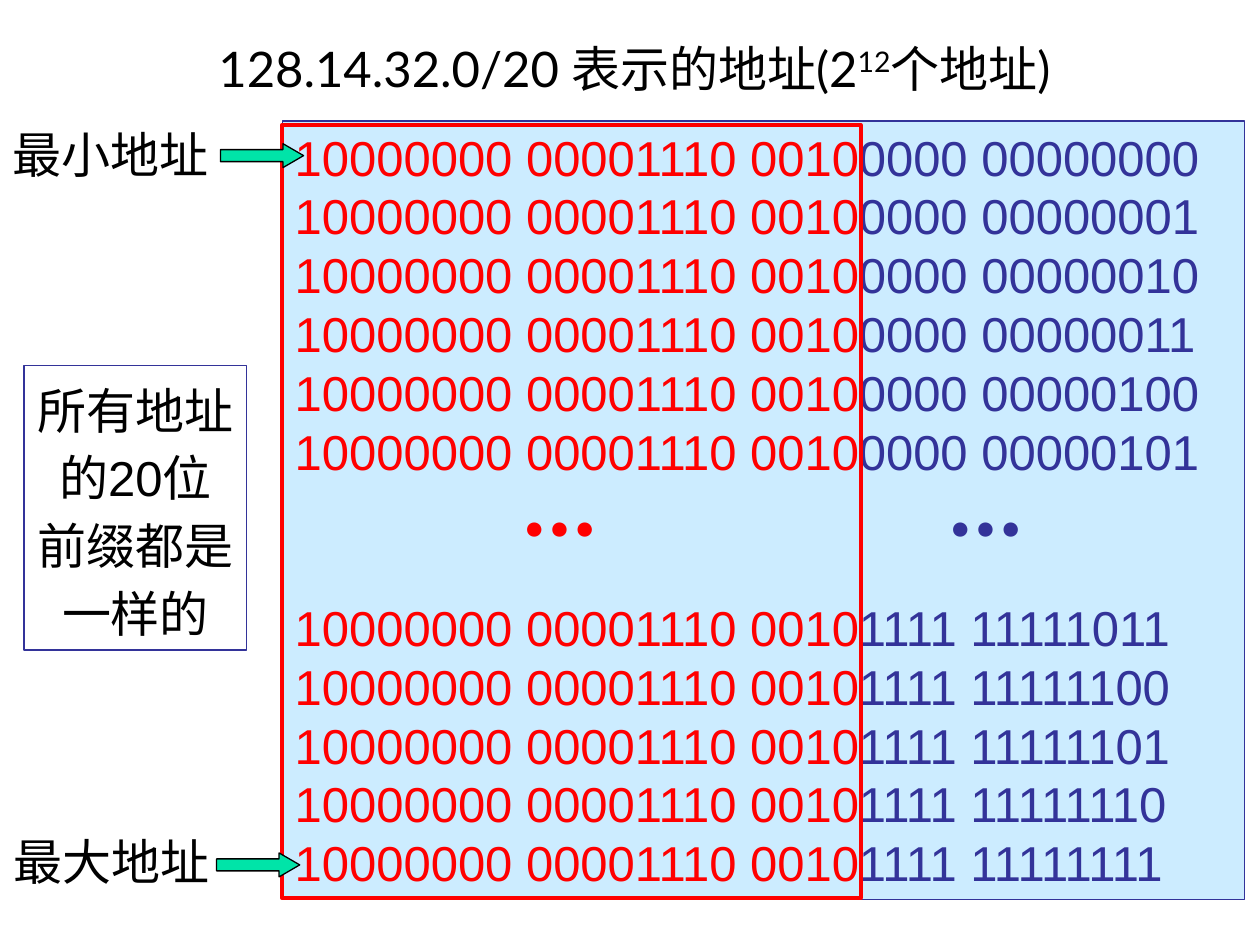
"""Build a slide listing the addresses in the CIDR block 128.14.32.0/20."""
import pptx
import pptx.dml.color
import pptx.enum.shapes
import pptx.enum.text
import pptx.util

Pt = pptx.util.Pt
SHAPE = pptx.enum.shapes.MSO_SHAPE
ALIGN = pptx.enum.text.PP_ALIGN
ANCHOR = pptx.enum.text.MSO_ANCHOR
AUTO_SIZE = pptx.enum.text.MSO_AUTO_SIZE
COLORS = {
    "text": "000000", "prefix": "FF0000", "host": "333399",
    "panel": "CCECFF", "arrow": "00E4A8",
}


def add_run(paragraph, text, color, **formats):
    run = paragraph.add_run()
    run.text = text
    run.font.color.rgb = pptx.dml.color.RGBColor.from_string(COLORS[color])
    for name, value in {"size": Pt(28), "name": "Arial", "bold": False, **formats}.items():
        setattr(run.font, name, value)
    return run


def add_box(kind, place, line, weight, fill=None):
    box = slide.shapes.add_shape(kind, *map(Pt, place))
    box.shadow.inherit = False
    if fill:
        box.fill.solid()
        box.fill.fore_color.rgb = pptx.dml.color.RGBColor.from_string(COLORS[fill])
    else:
        box.fill.background()
    box.line.color.rgb = pptx.dml.color.RGBColor.from_string(COLORS[line])
    box.line.width = Pt(weight)
    return box


deck = pptx.Presentation()
deck.slide_width, deck.slide_height = Pt(720), Pt(540)
slide = deck.slides.add_slide(deck.slide_layouts[5])

title = slide.shapes.title
title.left, title.top, title.width, title.height = map(Pt, (25.2, 17.3, 674.6, 42.5))
title.text_frame.auto_size = AUTO_SIZE.NONE
title.text_frame.vertical_anchor = ANCHOR.MIDDLE
heading = title.text_frame.paragraphs[0]
heading.alignment = ALIGN.CENTER
add_run(heading, "128.14.32.0/20 表示的地址(2", "text", name="Lato")
exponent = add_run(heading, "12", "text", name="Lato")
exponent.font._element.set("baseline", "30000")
add_run(heading, "个地址)", "text", name="Lato")

panel = add_box(SHAPE.RECTANGLE, (161.3, 69.1, 550, 445), "host", 0.75, "panel")
addresses = panel.text_frame
addresses.vertical_anchor = ANCHOR.TOP
low_hosts = [f"0000 {number:08b}" for number in range(6)]
high_hosts = [f"1111 {number:08b}" for number in range(251, 256)]
for index, host in enumerate(low_hosts + high_hosts):
    address = addresses.add_paragraph() if index else addresses.paragraphs[0]
    address.alignment = ALIGN.LEFT
    if index == len(low_hosts):
        address.space_before = Pt(67)
    add_run(address, "10000000 00001110 0010", "prefix")
    add_run(address, host, "host")

for left, color in ((535.7, "host"), (292.3, "prefix")):
    dots = slide.shapes.add_textbox(Pt(left), Pt(249.1), Pt(68.4), Pt(72)).text_frame
    dots.word_wrap = False
    add_run(dots.paragraphs[0], "…", color, size=Pt(54), name="Lato", bold=True)

add_box(SHAPE.RECTANGLE, (161.3, 71.3, 330.5, 442), "prefix", 2.25)

note = add_box(SHAPE.RECTANGLE, (13.7, 208.8, 127.4, 162.7), "host", 0.75).text_frame
note.word_wrap = False
note.vertical_anchor = ANCHOR.TOP
for index, text in enumerate(("所有地址", "的20位", "前缀都是", "一样的")):
    sentence = note.add_paragraph() if index else note.paragraphs[0]
    sentence.alignment = ALIGN.CENTER
    sentence.line_spacing = 1.15
    add_run(sentence, text, "text")

for text, left, top, arrow_left, arrow_top in (
    ("最小地址", 0, 67.7, 126, 82.1),
    ("最大地址", 0.7, 471.6, 123.8, 487.4),
):
    label = slide.shapes.add_textbox(Pt(left), Pt(top), Pt(126.7), Pt(41)).text_frame
    label.word_wrap = False
    add_run(label.paragraphs[0], text, "text", name="Lato")
    arrow = add_box(SHAPE.RIGHT_ARROW, (arrow_left, arrow_top, 47.5, 13.7), "text", 0.75, "arrow")
    arrow.adjustments[0], arrow.adjustments[1] = 0.5, 0.86

deck.save("out.pptx")
